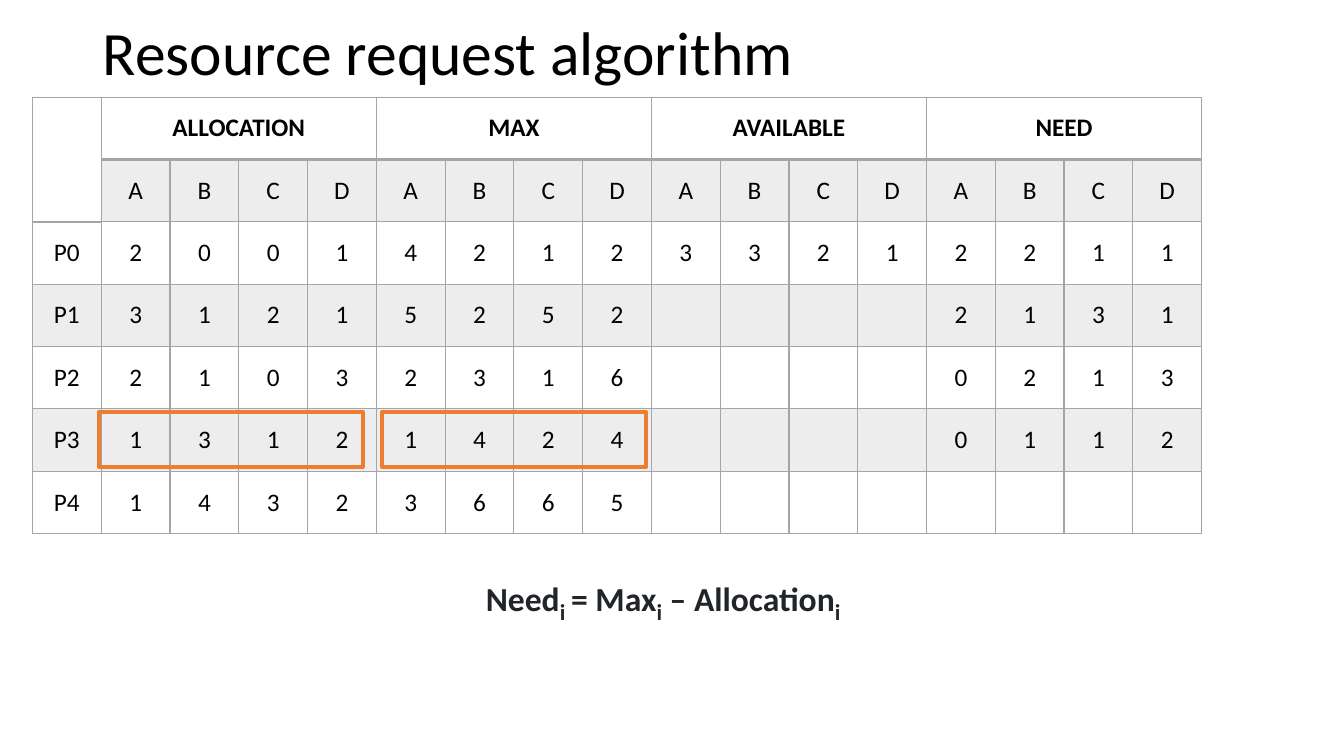
"""Builds the resource request algorithm slide."""
from lxml import etree
from pptx import Presentation
from pptx.dml.color import RGBColor
from pptx.enum import shapes, text
from pptx.oxml.ns import qn
from pptx.util import Pt

BLACK = RGBColor(0x00, 0x00, 0x00)
GREY = RGBColor(0xA5, 0xA5, 0xA5)
INK = RGBColor(0x21, 0x25, 0x29)
ORANGE = RGBColor(0xED, 0x7D, 0x31)

GROUPS = ["ALLOCATION", "MAX", "AVAILABLE", "NEED"]
PROCESSES = [
    ("P0", "2001", "4212", "3321", "2211"),
    ("P1", "3121", "5252", "    ", "2131"),
    ("P2", "2103", "2316", "    ", "0213"),
    ("P3", "1312", "1424", "    ", "0112"),
    ("P4", "1432", "3665", "    ", "    "),
]
FORMULA = [("Need", 24, 0), ("i", 28, -25000), (" ", 32, -25000), ("= Max", 24, 0),
           ("i", 28, -25000), (" – Allocation", 24, 0), ("i", 28, -25000)]


def set_font(font, size, color, bold=False):
    font.name = "Calibri"
    font.size = Pt(size)
    font.bold = bold
    font.color.rgb = color


def add_border(cell, side, width):
    ln = etree.SubElement(cell._tc.get_or_add_tcPr(), qn(f"a:{side}"), w=str(Pt(width)))
    fill = etree.SubElement(ln, qn("a:solidFill"))
    etree.SubElement(fill, qn("a:srgbClr"), val=str(GREY))


prs = Presentation()
prs.slide_width, prs.slide_height = Pt(960), Pt(540)
s = prs.slides.add_slide(prs.slide_layouts[5])

title = s.shapes.title
title.left, title.top, title.width, title.height = Pt(66.24), Pt(10.8), Pt(828), Pt(58.3)
tf = title.text_frame
tf.text = "Resource request algorithm"
tf.auto_size = text.MSO_AUTO_SIZE.NONE
tf.vertical_anchor = text.MSO_ANCHOR.MIDDLE
p = tf.paragraphs[0]
p.alignment = text.PP_ALIGN.LEFT
p.line_spacing = 0.9
set_font(p.runs[0].font, 44, BLACK)

rows = [[""] + [name for group in GROUPS for name in (group, "", "", "")],
        [""] + list("ABCD" * len(GROUPS))]
rows += [[name] + list("".join(values)) for name, *values in PROCESSES]
n_rows, n_cols = len(rows), len(rows[0])

table = s.shapes.add_table(n_rows, n_cols, Pt(23.2), Pt(69.4), Pt(835.4), Pt(311.8)).table
table.first_row = table.horz_banding = False
for column in table.columns:
    column.width = Pt(49.14)
for row in table.rows:
    row.height = Pt(44.54)
table.cell(0, 0).merge(table.cell(1, 0))
for c in range(1, n_cols, 4):
    table.cell(0, c).merge(table.cell(0, c + 3))

for r, values in enumerate(rows):
    for c, value in enumerate(values):
        cell = table.cell(r, c)
        header_end = 1 if c == 0 else 0
        add_border(cell, "lnL", 1)
        add_border(cell, "lnR", 1)
        add_border(cell, "lnT", 2 if r == header_end + 1 else 1)
        add_border(cell, "lnB", 2 if r <= header_end else 1)
        if r % 2 and r > header_end:
            cell.fill.solid()
            cell.fill.fore_color.rgb = GREY
            color = cell._tc.tcPr.find(qn("a:solidFill")).find(qn("a:srgbClr"))
            etree.SubElement(color, qn("a:alpha"), val="20000")
        else:
            cell.fill.background()
        if value.strip():
            cell.vertical_anchor = text.MSO_ANCHOR.MIDDLE
            p = cell.text_frame.paragraphs[0]
            p.text = value
            p.alignment = text.PP_ALIGN.CENTER
            set_font(p.runs[0].font, 18, BLACK, bold=r == 0)

tf = s.shapes.add_textbox(Pt(25.2), Pt(401), Pt(897), Pt(36)).text_frame
tf.word_wrap = True
tf.auto_size = text.MSO_AUTO_SIZE.SHAPE_TO_FIT_TEXT
p = tf.paragraphs[0]
p.alignment = text.PP_ALIGN.CENTER
for part, size, baseline in FORMULA:
    run = p.add_run()
    run.text = part
    set_font(run.font, size, INK, bold=True)
    if baseline:
        run.font._element.set("baseline", str(baseline))

for left in (272.9, 70.6):
    sp = s.shapes.add_shape(shapes.MSO_SHAPE.RECTANGLE, Pt(left), Pt(294.5), Pt(188.6), Pt(38.9))
    sp.shadow.inherit = False
    sp.fill.background()
    sp.line.color.rgb = ORANGE
    sp.line.width = Pt(3)

prs.save("out.pptx")
